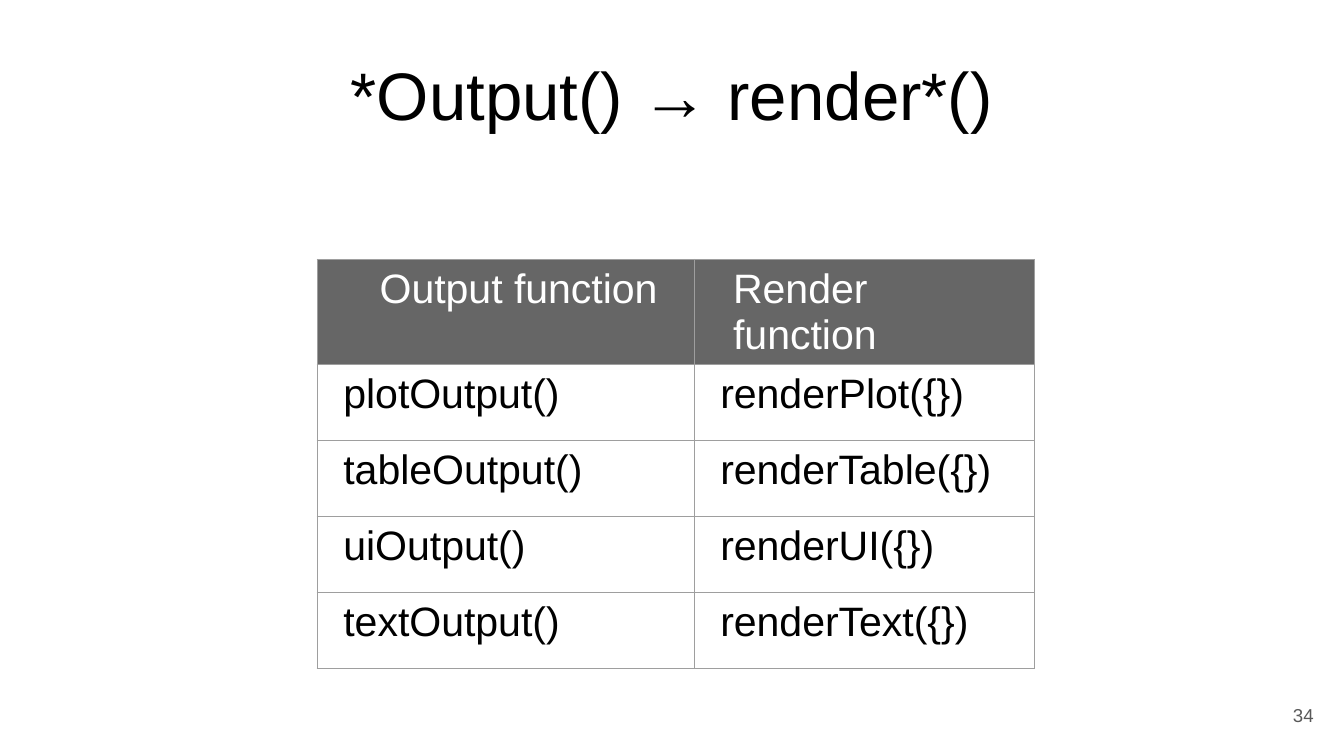
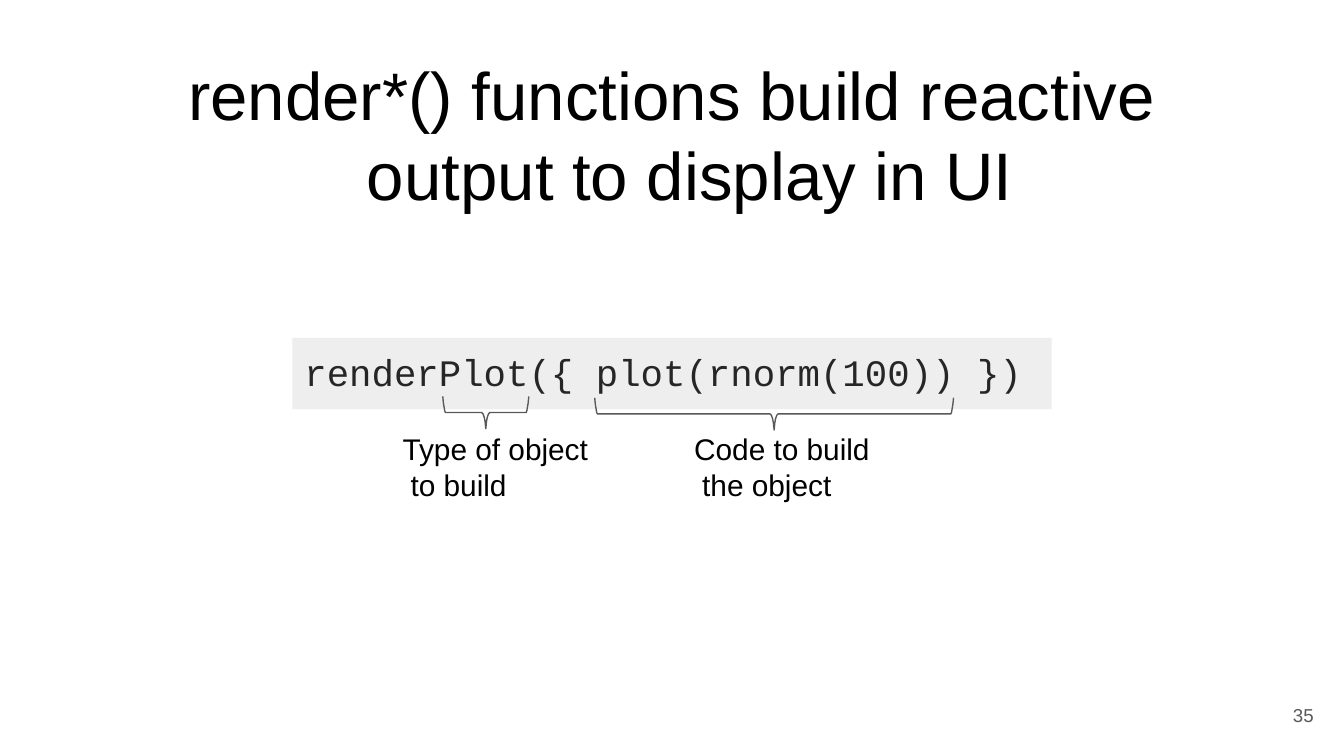
import lxml.etree
import pptx
import pptx.dml.color
import pptx.enum.shapes
import pptx.oxml.ns
import pptx.util

# The grid has square cells, ten to the inch.
COLS, ROWS = 100, 56.25
BLACK, WHITE, GREY = "000000", "FFFFFF", "595959"
DARK, PALE, RULE, INK = "666666", "EEEEEE", "9E9E9E", "262626"
SANS, MONO = "Arial", "Courier New"
FIRST = 34

PAIRS = [
    ("Output function", "Render function"),
    ("plotOutput()", "renderPlot({})"),
    ("tableOutput()", "renderTable({})"),
    ("uiOutput()", "renderUI({})"),
    ("textOutput()", "renderText({})"),
]


def grid(cells):
    return pptx.util.Inches(cells / 10)


def color(code):
    return pptx.dml.color.RGBColor.from_string(code)


def style(para, size, tint, face=SANS, left=0.1, first=0):
    """Set a paragraph's font, left margin and first-line indent."""
    para.font.size = pptx.util.Pt(size)
    para.font.name = face
    para.font.color.rgb = color(tint)
    props = para._p.get_or_add_pPr()
    props.set("marL", str(grid(left)))
    props.set("indent", str(grid(first)))


def write(slide, place, text, size, tint=BLACK, space=None, **looks):
    box = slide.shapes.add_textbox(*map(grid, place))
    frame = box.text_frame
    frame.word_wrap = True
    frame.margin_left = frame.margin_right = frame.margin_bottom = 0
    frame.margin_top = grid(0.1)
    para = frame.paragraphs[0]
    para.text = text
    para.line_spacing = space
    style(para, size, tint, **looks)


def title(slide, place, text, **looks):
    write(slide, place, text, 36, **looks)


def number(slide, page):
    write(slide, (COLS - 4.1, ROWS - 4, 2.1, 2), str(page), 10, GREY, left=0.3)


def border(cell):
    props = cell._tc.get_or_add_tcPr()
    for side in ("lnL", "lnR", "lnT", "lnB"):
        line = lxml.etree.SubElement(props, pptx.oxml.ns.qn("a:" + side),
                                     w=str(pptx.util.Pt(0.75)))
        fill = lxml.etree.SubElement(line, pptx.oxml.ns.qn("a:solidFill"))
        lxml.etree.SubElement(fill, pptx.oxml.ns.qn("a:srgbClr"), val=RULE)


def table(slide, left, top, widths, height, pairs):
    frame = slide.shapes.add_table(
        len(pairs), len(widths), grid(left), grid(top),
        grid(sum(widths)), grid(height * len(pairs)))
    body = frame.table
    for col, width in zip(body.columns, widths):
        col.width = grid(width)
    for r, pair in enumerate(pairs):
        for c, text in enumerate(pair):
            cell = body.cell(r, c)
            cell.margin_bottom = 0
            border(cell)
            para = cell.text_frame.paragraphs[0]
            para.text = text
            if r == 0:
                cell.fill.solid()
                cell.fill.fore_color.rgb = color(DARK)
                style(para, 22, WHITE, left=(3.65, 1.9)[c])
            else:
                cell.fill.background()
                style(para, 22, BLACK, left=0.95)


def panel(slide, place):
    shape = slide.shapes.add_shape(
        pptx.enum.shapes.MSO_SHAPE.RECTANGLE, *map(grid, place))
    shape.shadow.inherit = False
    shape.fill.solid()
    shape.fill.fore_color.rgb = color(PALE)
    shape.line.fill.background()


def brace(slide, left, top, width):
    """Draw a brace that opens upward, its right half mirroring its left."""
    mid = width / 2
    half = [(0, 0), (0.05, 0.5), (0.1, 0.8), (0.15, 1.1), (0.2, 1.2),
            (mid - 0.3, 1.2), (mid - 0.2, 1.3), (mid - 0.1, 1.6),
            (mid - 0.05, 1.9), (mid, 2.4)]
    curve = half + [(width - x, y) for x, y in half[-2::-1]]
    points = [(grid(left + x), grid(top + y)) for x, y in curve]
    pen = slide.shapes.build_freeform(*points[0])
    pen.add_line_segments(points[1:], close=False)
    shape = pen.convert_to_shape()
    shape.shadow.inherit = False
    shape.fill.background()
    shape.line.color.rgb = color(GREY)
    shape.line.width = pptx.util.Pt(0.75)


def label(slide, left, width, text):
    write(slide, (left, 31.9, width, 5.4), text, 16, space=1.01,
          left=0.7, first=-0.6)


def match(slide):
    title(slide, (26, 3.85, 48, 9.5), "*Output() → render*()")
    table(slide, 23.6, 19.3, (28.05, 25.3), 5.65, PAIRS)


def build(slide):
    title(slide, (13.9, 3.85, 72.2, 12.1),
          "render*() functions build reactive\voutput to display in UI",
          left=13.4, first=-13.3)
    panel(slide, (21.75, 25.15, 56.5, 5.3))
    write(slide, (22.55, 25.85, 53.6, 3.5), "renderPlot({ plot(rnorm(100)) })",
          20, INK, face=MONO)
    label(slide, 51.55, 13.4, "Code to build\vthe object")
    brace(slide, 32.95, 29.5, 6.4)
    label(slide, 29.85, 14.2, "Type of object\vto build")
    brace(slide, 44.25, 29.6, 26.7)


def main():
    deck = pptx.Presentation()
    deck.slide_width, deck.slide_height = grid(COLS), grid(ROWS)
    for page, draw in enumerate((match, build), FIRST):
        slide = deck.slides.add_slide(deck.slide_layouts[6])
        draw(slide)
        number(slide, page)
    deck.save("out.pptx")


if __name__ == "__main__":
    main()
